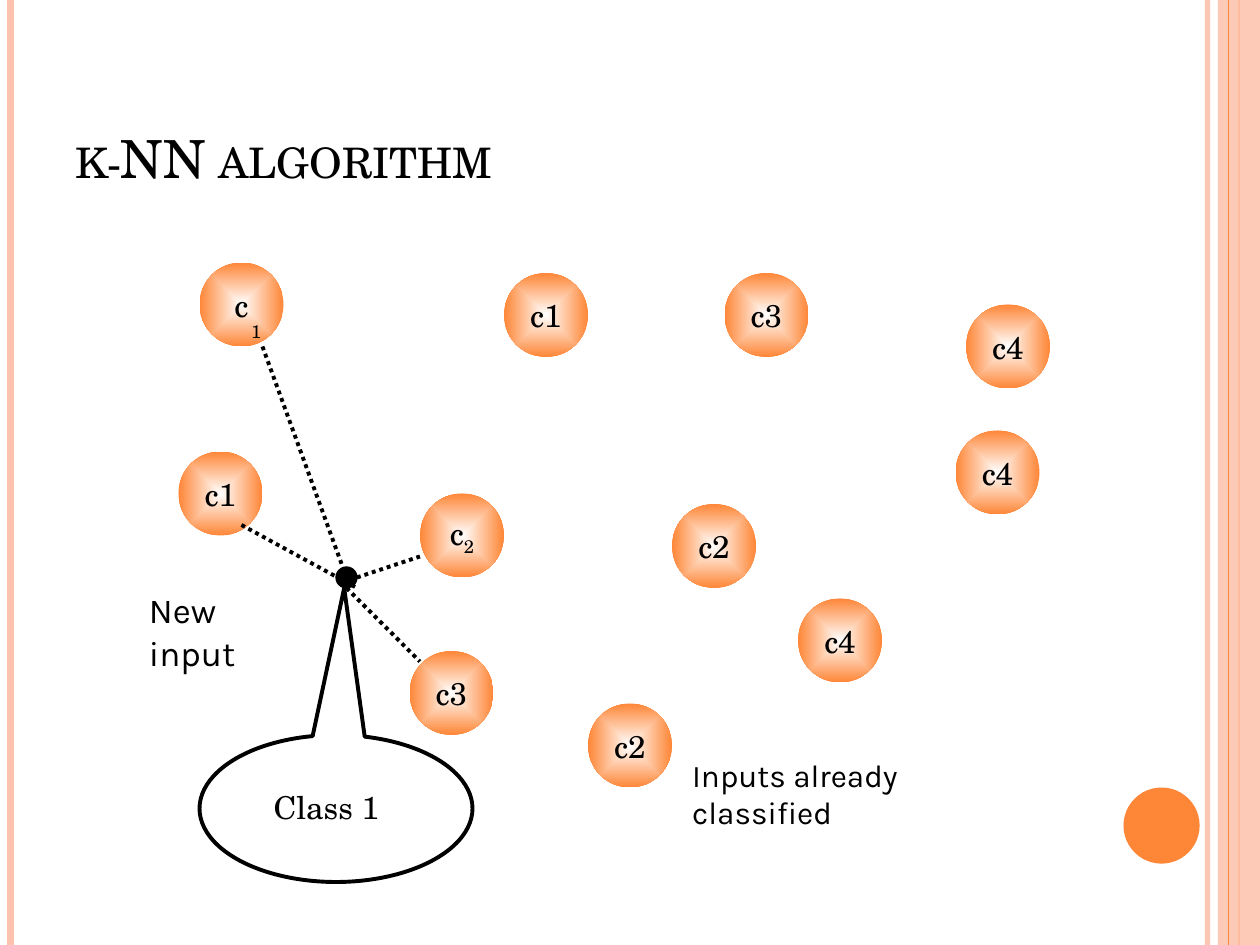
import pptx
import pptx.dml.color
import pptx.enum.dml
import pptx.enum.shapes
import pptx.enum.text
import pptx.oxml
import pptx.oxml.ns
import pptx.util

PX = 9525  # 96 px to the inch
SERIF, SANS = "TeX Gyre Schola", "Karla"
ORANGE, PEACH, BLACK, WHITE = "FE8637", "FEC3AE", "000000", "FFFFFF"
BALL = 64
KIND = pptx.enum.shapes.MSO_SHAPE
ANCHOR = pptx.enum.text.MSO_ANCHOR
ALIGN = pptx.enum.text.PP_ALIGN
FIT = pptx.enum.text.MSO_AUTO_SIZE
NS = pptx.oxml.ns.nsdecls("a")
qn = pptx.oxml.ns.qn


def px(*nums):
    return [pptx.util.Emu(n * PX) for n in nums]


def paint(fmt, color, alpha=None):
    """Give a fill one solid colour, with opacity in percent."""
    fmt.solid()
    fmt.fore_color.rgb = pptx.dml.color.RGBColor.from_string(color)
    if alpha:
        tag = pptx.oxml.parse_xml(f'<a:alpha {NS} val="{alpha * 1000}"/>')
        return tag


def fade(shape, alpha):
    """Set the opacity of every solid colour of a shape."""
    for clr in shape.element.spPr.iter(qn("a:srgbClr")):
        clr.append(pptx.oxml.parse_xml(f'<a:alpha {NS} val="{alpha * 1000}"/>'))


def write(frame, text, size=18, font=SERIF, align=ALIGN.LEFT,
          anchor=ANCHOR.TOP, wrap=True, sub="", **attrs):
    """Fill a text frame; sub is a lowered ending, attrs go on the run."""
    frame.word_wrap = wrap
    frame.auto_size = FIT.NONE
    frame.vertical_anchor = anchor
    para = frame.paragraphs[0]
    para.alignment = align
    parts = [(text, attrs), (sub, {"baseline": "-25000"})]
    for words, marks in parts:
        if not words:
            continue
        run = para.add_run()
        run.text = words
        run.font.size = pptx.util.Pt(size)
        run.font.name = font
        run.font.color.rgb = pptx.dml.color.RGBColor.from_string(BLACK)
        for key, val in marks.items():
            run.font._element.set(key, val)


def label(slide, box, text, **fmt):
    write(slide.shapes.add_textbox(*px(*box)).text_frame, text, **fmt)


def draw(slide, kind, box, fill, line=None, width=1):
    shape = slide.shapes.add_shape(kind, *px(*box))
    shape.shadow.inherit = False
    paint(shape.fill, fill)
    if line:
        paint(shape.line.fill, line)
        shape.line.width = pptx.util.Pt(width)
    else:
        shape.line.fill.background()
    return shape


def rule(slide, ends, color, width, dash=None):
    line = slide.shapes.add_connector(
        pptx.enum.shapes.MSO_CONNECTOR.STRAIGHT, *px(*ends))
    paint(line.line.fill, color)
    line.line.width = pptx.util.Pt(width)
    if dash:
        line.line.dash_style = dash
    line.element.spPr.append(pptx.oxml.parse_xml(f"<a:effectLst {NS}/>"))
    return line


def frame(slide, wide, high):
    """Stripes on both edges and the disc at the lower right."""
    def stripe(x, color, width):
        return rule(slide, (x, 0, x, high), color, width)

    fade(stripe(wide - 40, PEACH, 3), 93)
    stripe(8, PEACH, 4.5)
    stripe(wide - 16, ORANGE, 1.5)
    fade(draw(slide, KIND.RECTANGLE, (wide - 32, 0, 32, high), PEACH), 87)
    stripe(wide - 24, ORANGE, 0.75)
    draw(slide, KIND.OVAL, (wide - 104, high - 120, 58, 58), ORANGE)


def head(slide, box, text):
    title = slide.shapes.title
    title.left, title.top, title.width, title.height = px(*box)
    write(title.text_frame, text, size=30, anchor=ANCHOR.BOTTOM, cap="small")


def ball(slide, x, y, text, sub=""):
    shape = draw(slide, KIND.OVAL, (x, y, BALL, BALL), ORANGE)
    shape.fill.gradient()
    for stop, color in zip(shape.fill.gradient_stops, (WHITE, ORANGE)):
        stop.color.rgb = pptx.dml.color.RGBColor.from_string(color)
    grad = shape.element.spPr.find(qn("a:gradFill"))
    grad.replace(grad.find(qn("a:lin")), pptx.oxml.parse_xml(
        f'<a:path {NS} path="shape"><a:fillToRect l="50000" t="50000" '
        'r="50000" b="50000"/></a:path>'))
    write(shape.text_frame, text, sub=sub, align=ALIGN.CENTER,
          anchor=ANCHOR.MIDDLE, wrap=False)


def plot(slide, left, top):
    """Classified points, the new input and its nearest neighbours."""
    points = [
        (184, 176, "c", "2"), (16, 0, "c"), (0, 144, "c1"),
        (592, 128, "c4"), (176, 296, "c3"), (472, 256, "c4"),
        (248, 8, "c1"), (376, 184, "c2"), (312, 336, "c2"),
        (416, 8, "c3"), (600, 32, "c4")]
    for x, y, *words in points:
        ball(slide, left + x, top + y, *words)
    label(slide, (left + 46, top + 23, 30, 36), "", sub="1", wrap=False)

    draw(slide, KIND.OVAL, (left + 120, top + 232, 16, 16), BLACK, BLACK, 0.75)
    links = [(64, 64, 128, 240), (48, 200, 136, 248),
             (136, 240, 184, 224), (128, 248, 184, 304)]
    for x1, y1, x2, y2 in links:
        rule(slide, (left + x1, top + y1, left + x2, top + y2), BLACK, 2.25,
             pptx.enum.dml.MSO_LINE.ROUND_DOT)

    label(slide, (left - 32, top + 244, 139, 41), "New input",
          size=20, font=SANS)
    label(slide, (left + 382, top + 371, 275, 38),
          "Inputs already classified", font=SANS)


def answer(slide, left, top):
    """Callout that names the class of the new input."""
    bubble = draw(slide, KIND.OVAL_CALLOUT, (left, top, 208, 112),
                  WHITE, BLACK, 2.25)
    bubble.adjustments[0] = 0.03
    bubble.adjustments[1] = -1.5
    label(slide, (left + 47, top + 36, 112, 48), "Class 1")


def main():
    deck = pptx.Presentation()
    wide, high = 960, 720
    deck.slide_width, deck.slide_height = px(wide, high)
    slide = deck.slides.add_slide(deck.slide_layouts[5])
    paint(slide.background.fill, WHITE)
    frame(slide, wide, high)
    head(slide, (48, 29, 784, 120), "k-NN algorithm")
    plot(slide, 136, 200)
    answer(slide, 152, 560)
    deck.save("out.pptx")


if __name__ == "__main__":
    main()
